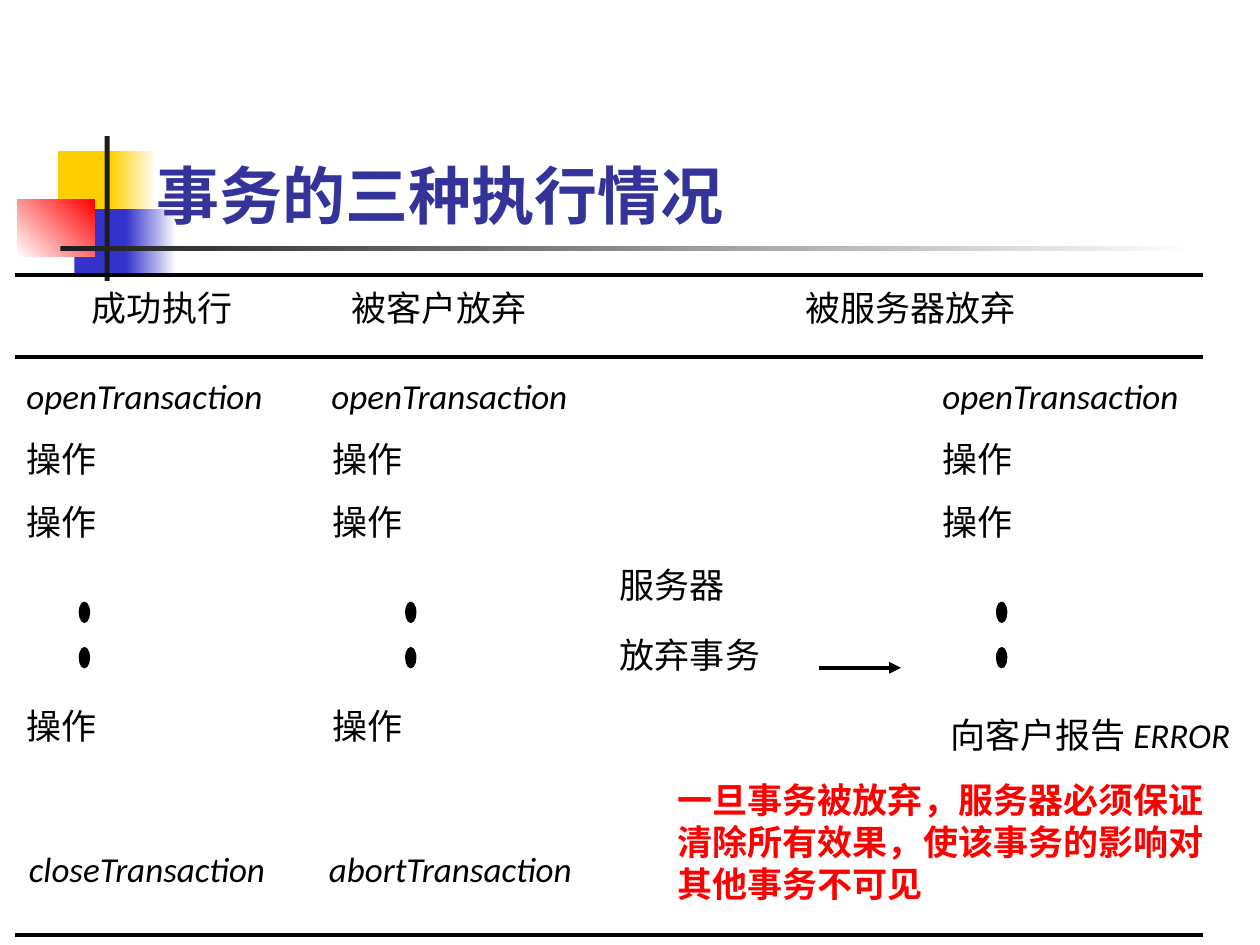
from typing import NamedTuple, Optional

import pptx
import pptx.dml.color
import pptx.enum.dml
import pptx.enum.shapes
import pptx.enum.text
import pptx.oxml.ns
import pptx.util
from lxml import etree

Inches = pptx.util.Inches
Pt = pptx.util.Pt
RGBColor = pptx.dml.color.RGBColor
qn = pptx.oxml.ns.qn
KIND = pptx.enum.shapes.MSO_SHAPE
FIT = pptx.enum.text.MSO_AUTO_SIZE

BLACK = RGBColor(0x00, 0x00, 0x00)
WHITE = RGBColor(0xFF, 0xFF, 0xFF)
INK = RGBColor(0x1C, 0x1C, 0x1C)
GOLD = RGBColor(0xFF, 0xCF, 0x01)
BLUE = RGBColor(0x33, 0x33, 0xCC)
NAVY = RGBColor(0x33, 0x33, 0x99)
RED = RGBColor(0xFF, 0x00, 0x00)

BODY = "Calibri"
TIMES = "Times New Roman"
SLACK = 0.06  # spare width that keeps each label on one line


class Block(NamedTuple):
    left: float
    top: float
    width: float
    height: float
    start: RGBColor
    end: Optional[RGBColor] = None
    angle: float = 0


class Label(NamedTuple):
    text: str
    left: float
    top: float
    width: float
    italic: bool = False
    font: str = BODY


BLOCKS = [
    Block(0.46, 1.2, 0.48, 0.52, GOLD),
    Block(0.88, 1.2, 0.36, 0.52, GOLD, WHITE),
    Block(0.59, 1.66, 0.46, 0.52, BLUE),
    Block(1, 1.66, 0.4, 0.52, BLUE, WHITE),
    Block(0.14, 1.58, 0.61, 0.46, WHITE, RED, 45),
    Block(0.83, 1.08, 0.04, 1.15, INK),
    Block(0.48, 1.95, 9, 0.04, INK, WHITE),
]

HEADS = [
    Label("成功执行", 0.73, 2.27, 1.11),
    Label("被客户放弃", 2.79, 2.27, 1.39),
    Label("被服务器放弃", 6.39, 2.27, 1.67),
]
OPENS = [Label("openTransaction", x, 2.97, 2.07, True) for x in (0.21, 2.63, 7.48)]
STEPS = [
    Label("操作", x, y, 0.56, font=font)
    for y, fonts in (
        (3.47, (TIMES, TIMES, BODY)),
        (3.97, (TIMES, BODY, BODY)),
        (5.59, (TIMES, BODY)),
    )
    for x, font in zip((0.21, 2.64, 7.48), fonts)
]
ENDS = [
    Label("服务器", 4.92, 4.47, 0.84),
    Label("放弃事务", 4.92, 5.03, 1.11),
    Label("closeTransaction", 0.23, 6.73, 2.07, True),
    Label("abortTransaction", 2.61, 6.73, 2.14, True),
]


def add_run(para, text: str, size: float, font: str, color: RGBColor,
            bold: bool = False, italic: bool = False) -> None:
    run = para.add_run()
    run.text = text
    run.font.size = Pt(size)
    run.font.name = font
    run.font.bold = bold
    run.font.italic = italic
    run.font.color.rgb = color
    # Chinese text stays sans serif throughout
    latin = run.font._element.find(qn("a:latin"))
    face = BODY if font == TIMES else font
    latin.addnext(etree.Element(qn("a:ea"), typeface=face))


def draw_block(slide, block: Block) -> None:
    shape = slide.shapes.add_shape(
        KIND.RECTANGLE, *map(Inches, block[:4]))
    shape.shadow.inherit = False
    shape.line.fill.background()
    if block.end is None:
        shape.fill.solid()
        shape.fill.fore_color.rgb = block.start
        return
    shape.fill.gradient()
    shape.fill.gradient_angle = block.angle
    for stop, color, place in zip(
            shape.fill.gradient_stops, (block.start, block.end), (0, 1)):
        stop.color.rgb = color
        stop.position = place


def add_label(slide, label: Label):
    box = slide.shapes.add_textbox(
        *map(Inches, (label.left, label.top, label.width + SLACK, 0.33)))
    frame = box.text_frame
    frame.margin_left = frame.margin_right = 0
    frame.margin_top = frame.margin_bottom = 0
    frame.word_wrap = True
    frame.auto_size = FIT.SHAPE_TO_FIT_TEXT
    para = frame.paragraphs[0]
    add_run(para, label.text, 20, label.font, BLACK, italic=label.italic)
    return para


def draw_dot(slide, left: float, top: float) -> None:
    dot = slide.shapes.add_shape(
        KIND.OVAL, *map(Inches, (left, top, 0.08, 0.16)))
    dot.shadow.inherit = False
    dot.fill.solid()
    dot.fill.fore_color.rgb = BLACK
    dot.line.color.rgb = BLACK
    dot.line.width = Pt(0.75)


def draw_line(slide, left: float, right: float, y: float,
              arrow: bool = False) -> None:
    line = slide.shapes.add_connector(
        pptx.enum.shapes.MSO_CONNECTOR.STRAIGHT,
        *map(Inches, (left, y, right, y)))
    line.line.color.rgb = BLACK
    line.line.width = Pt(2.25)
    if arrow:
        etree.SubElement(line.line._get_or_add_ln(), qn("a:tailEnd"),
                         type="triangle")
    etree.SubElement(line.element.spPr, qn("a:effectLst"))


def main() -> None:
    deck = pptx.Presentation()
    deck.slide_width, deck.slide_height = Inches(10), Inches(7.5)
    slide = deck.slides.add_slide(deck.slide_layouts[5])

    # Corner ornament
    for block in BLOCKS:
        draw_block(slide, block)

    # Title, in front of the ornament
    title = slide.shapes.title
    title.element.getparent().append(title.element)
    title.left, title.top = Inches(1.14), Inches(0.91)
    title.width, title.height = Inches(7.4), Inches(0.98)
    frame = title.text_frame
    frame.auto_size = FIT.NONE
    frame.vertical_anchor = pptx.enum.text.MSO_ANCHOR.BOTTOM
    para = frame.paragraphs[0]
    para.alignment = pptx.enum.text.PP_ALIGN.LEFT
    add_run(para, "事务的三种执行情况", 36, "Noto Sans CJK JP", NAVY, bold=True)

    # Column heads and steps
    for label in HEADS + OPENS + STEPS + ENDS:
        add_label(slide, label)
    para = add_label(slide, Label("向客户报告 ", 7.54, 5.66, 2.36))
    add_run(para, "ERROR", 20, BODY, BLACK, italic=True)

    # Dots for the steps left out
    for x in (0.63, 3.22, 7.91):
        for y in (4.78, 5.14):
            draw_dot(slide, x, y)

    # Arrow and rules
    draw_line(slide, 6.5, 7.15, 5.3, arrow=True)
    for y in (2.18, 2.83, 7.42):
        draw_line(slide, 0.12, 9.55, y)

    # Closing remark
    note = slide.shapes.add_textbox(*map(Inches, (5.28, 6.13, 4.41, 1.1)))
    note.text_frame.word_wrap = True
    note.text_frame.auto_size = FIT.SHAPE_TO_FIT_TEXT
    add_run(note.text_frame.paragraphs[0],
            "一旦事务被放弃，服务器必须保证清除所有效果，使该事务的影响对其他事务不可见",
            20, "Cabin", RED, bold=True)

    deck.save("out.pptx")


if __name__ == "__main__":
    main()
